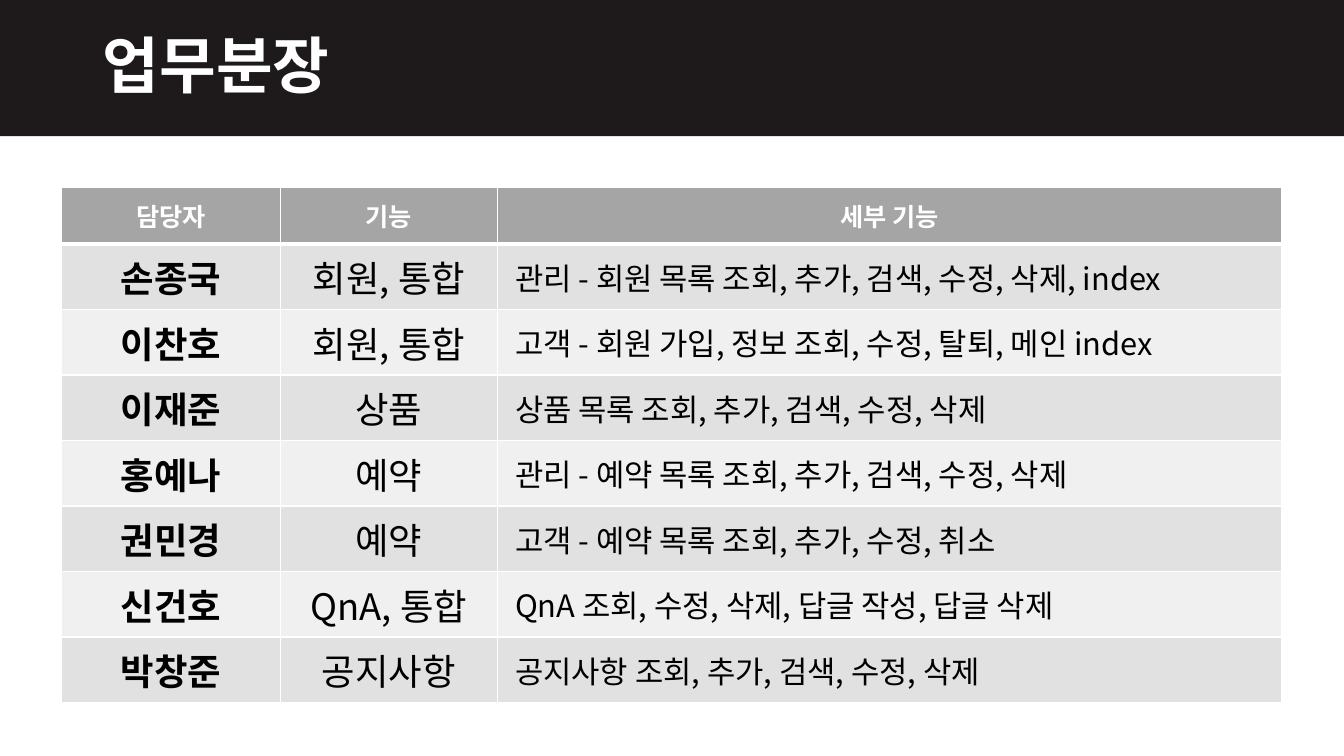
from lxml import etree
from pptx import Presentation
from pptx.dml.color import RGBColor
from pptx.enum.shapes import MSO_SHAPE
from pptx.enum.text import MSO_ANCHOR, PP_ALIGN
from pptx.oxml.ns import qn
from pptx.util import Cm, Pt

RECTANGLE = MSO_SHAPE.RECTANGLE
MIDDLE = MSO_ANCHOR.MIDDLE
CENTER, LEFT = PP_ALIGN.CENTER, PP_ALIGN.LEFT

FONT = "Noto Sans CJK KR"
COLORS = {
    "banner": "1E1A1B",
    "header": "A5A5A5",
    "odd": "E1E1E1",
    "even": "F0F0F0",
    "white": "FFFFFF",
    "black": "000000",
}
TITLE = {"size": Pt(44), "bold": True}
HEADER = {"size": Pt(18), "bold": True}
BODY_FORMATS = [
    {"size": Pt(26), "bold": True},
    {"size": Pt(26), "bold": False},
    {"size": Pt(22), "bold": False},
]
BODY_ALIGNMENTS = [CENTER, CENTER, LEFT]
COLUMN_WIDTHS = [Cm(5.5), Cm(5.48), Cm(19.76)]
HEADER_HEIGHT, BODY_HEIGHT = Cm(1.42), Cm(1.65)
DETAIL_MARGIN = Cm(0.44)

HEADINGS = ["담당자", "기능", "세부 기능"]
ASSIGNMENTS = [
    ["손종국", "회원, 통합", "관리 - 회원 목록 조회, 추가, 검색, 수정, 삭제, index"],
    ["이찬호", "회원, 통합", "고객 - 회원 가입, 정보 조회, 수정, 탈퇴, 메인 index"],
    ["이재준", "상품", "상품 목록 조회, 추가, 검색, 수정, 삭제"],
    ["홍예나", "예약", "관리 - 예약 목록 조회, 추가, 검색, 수정, 삭제"],
    ["권민경", "예약", "고객 - 예약 목록 조회, 추가, 수정, 취소"],
    ["신건호", "QnA, 통합", "QnA 조회, 수정, 삭제, 답글 작성, 답글 삭제"],
    ["박창준", "공지사항", "공지사항 조회, 추가, 검색, 수정, 삭제"],
]


def rgb(name):
    return RGBColor.from_string(COLORS[name])


def write_text(paragraph, text, formats, color, alignment):
    paragraph.alignment = alignment
    run = paragraph.add_run()
    run.text = text
    for attribute, value in formats.items():
        setattr(run.font, attribute, value)
    run.font.color.rgb = rgb(color)
    run.font.name = FONT
    properties = run.font._element
    latin = properties.find(qn("a:latin"))
    east_asian = etree.Element(qn("a:ea"), typeface=FONT)
    latin.addnext(east_asian)


def set_borders(cell, widths):
    properties = cell._tc.get_or_add_tcPr()
    for position, (side, width) in enumerate(widths.items()):
        line = etree.Element(qn(f"a:ln{side}"), w=str(Pt(width)))
        fill = etree.SubElement(line, qn("a:solidFill"))
        etree.SubElement(fill, qn("a:srgbClr"), val=COLORS["white"])
        properties.insert(position, line)


def fill_cell(cell, text, formats, text_color, alignment, fill, borders):
    cell.vertical_anchor = MIDDLE
    cell.fill.solid()
    cell.fill.fore_color.rgb = rgb(fill)
    if alignment == LEFT:
        cell.margin_left = DETAIL_MARGIN
    write_text(cell.text_frame.paragraphs[0], text, formats, text_color, alignment)
    set_borders(cell, borders)


def add_banner(slide, width):
    banner = slide.shapes.add_shape(RECTANGLE, 0, 0, width, Cm(3.43))
    banner.shadow.inherit = False
    banner.fill.solid()
    banner.fill.fore_color.rgb = rgb("banner")
    banner.line.fill.background()


def add_title(slide, text):
    box = slide.shapes.add_textbox(Cm(2.34), Cm(0.74), Cm(29.2), Cm(1.96))
    frame = box.text_frame
    frame.word_wrap = True
    frame.vertical_anchor = MIDDLE
    paragraph = frame.paragraphs[0]
    paragraph.line_spacing = 0.9
    write_text(paragraph, text, TITLE, "white", LEFT)


def add_assignment_table(slide):
    height = HEADER_HEIGHT + BODY_HEIGHT * len(ASSIGNMENTS)
    table = slide.shapes.add_table(
        len(ASSIGNMENTS) + 1, len(HEADINGS),
        Cm(1.56), Cm(4.73), sum(COLUMN_WIDTHS), height,
    ).table
    for column, width in zip(table.columns, COLUMN_WIDTHS):
        column.width = width
    for index, row in enumerate(table.rows):
        row.height = BODY_HEIGHT if index else HEADER_HEIGHT

    header_borders = {"L": 1, "R": 1, "T": 1, "B": 3}
    for column, heading in enumerate(HEADINGS):
        fill_cell(table.cell(0, column), heading, HEADER, "white", CENTER,
                  "header", header_borders)

    for row, assignment in enumerate(ASSIGNMENTS, start=1):
        fill = "odd" if row % 2 else "even"
        borders = {"L": 1, "R": 1, "T": 3 if row == 1 else 1, "B": 1}
        columns = zip(assignment, BODY_FORMATS, BODY_ALIGNMENTS)
        for column, (text, formats, alignment) in enumerate(columns):
            fill_cell(table.cell(row, column), text, formats, "black", alignment,
                      fill, borders)


def main():
    presentation = Presentation()
    presentation.slide_width = Cm(33.87)
    presentation.slide_height = Cm(19.05)
    slide = presentation.slides.add_slide(presentation.slide_layouts[6])
    add_assignment_table(slide)
    add_banner(slide, presentation.slide_width)
    add_title(slide, "업무분장")
    presentation.save("out.pptx")


if __name__ == "__main__":
    main()
